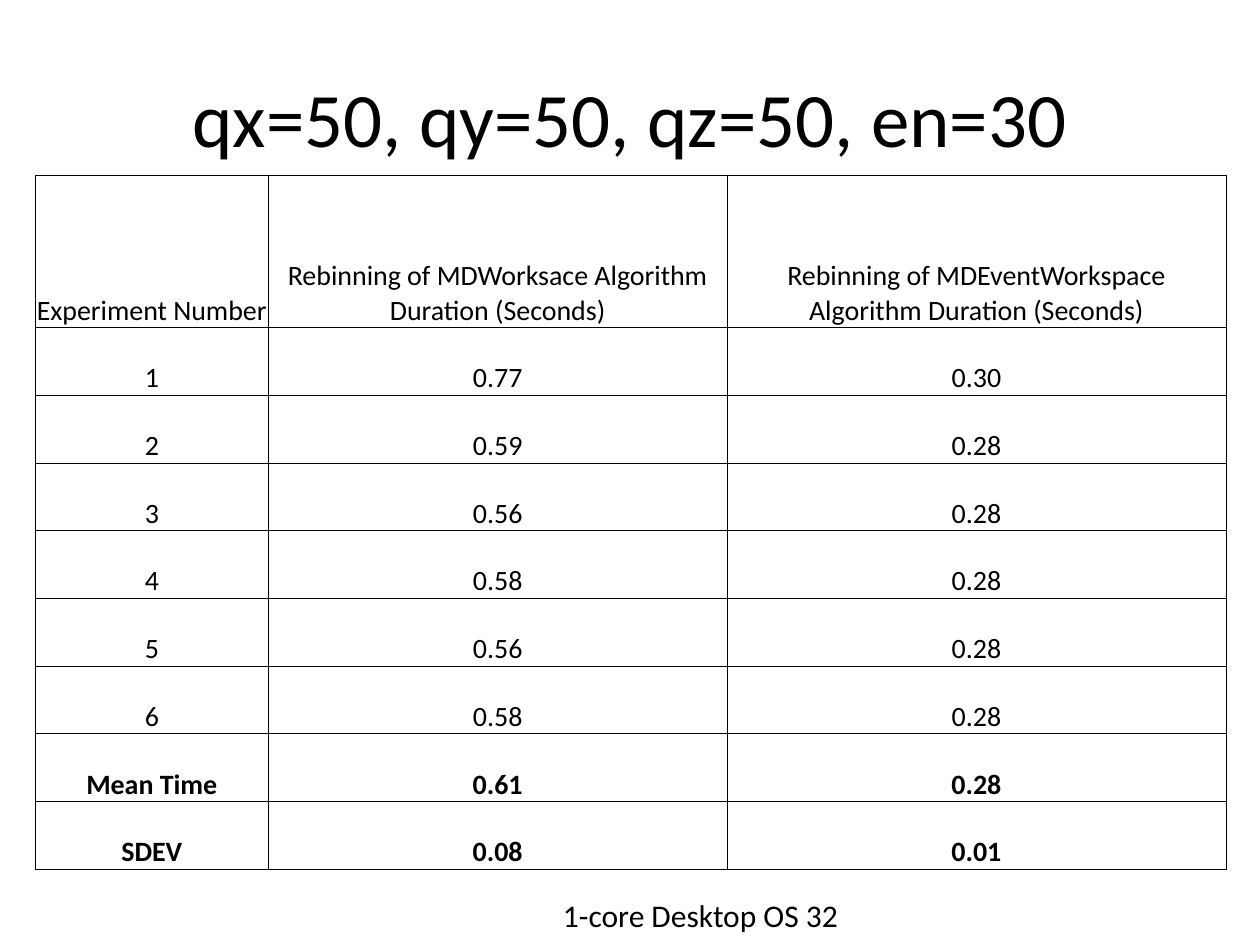
from lxml.etree import SubElement
from pptx import Presentation
from pptx.dml.color import RGBColor
from pptx.enum.text import MSO_ANCHOR, PP_ALIGN
from pptx.oxml.ns import qn
from pptx.util import Inches, Pt

BLACK = RGBColor(0x00, 0x00, 0x00)

HEADINGS = [
    "Experiment Number",
    "Rebinning of MDWorksace Algorithm Duration (Seconds)",
    "Rebinning of MDEventWorkspace Algorithm Duration (Seconds)",
]
TIMINGS = [
    ("1", "0.77", "0.30"),
    ("2", "0.59", "0.28"),
    ("3", "0.56", "0.28"),
    ("4", "0.58", "0.28"),
    ("5", "0.56", "0.28"),
    ("6", "0.58", "0.28"),
]
SUMMARY = [
    ("Mean Time", "0.61", "0.28"),
    ("SDEV", "0.08", "0.01"),
]


class SlideBuilder:
    font_name = "Calibri"
    ink = BLACK
    border_width = Pt(0.5)

    def __init__(self, slide):
        self.slide = slide

    def add_run(self, paragraph, words, size, bold=False):
        run = paragraph.add_run()
        run.text = words
        run.font.name = self.font_name
        run.font.size = Pt(size)
        run.font.bold = bold
        run.font.color.rgb = self.ink

    def add_text(self, words, left, top, width, height, size,
                 align=PP_ALIGN.LEFT, anchor=MSO_ANCHOR.TOP):
        frame = self.slide.shapes.add_textbox(
            Inches(left), Inches(top), Inches(width), Inches(height)).text_frame
        frame.word_wrap = True
        frame.vertical_anchor = anchor
        frame.paragraphs[0].alignment = align
        self.add_run(frame.paragraphs[0], words, size)

    def add_borders(self, cell):
        properties = cell._tc.get_or_add_tcPr()
        for side in ("a:lnL", "a:lnR", "a:lnT", "a:lnB"):
            line = SubElement(properties, qn(side), w=str(self.border_width))
            fill = SubElement(line, qn("a:solidFill"))
            SubElement(fill, qn("a:srgbClr"), val=str(self.ink))

    def fill_cell(self, cell, words, size, bold):
        cell.margin_left = cell.margin_right = cell.margin_top = Inches(0.01)
        cell.margin_bottom = 0
        cell.vertical_anchor = MSO_ANCHOR.BOTTOM
        self.add_borders(cell)
        cell.fill.background()
        paragraph = cell.text_frame.paragraphs[0]
        paragraph.alignment = PP_ALIGN.CENTER
        self.add_run(paragraph, words, size, bold)

    def add_table(self, rows, bold_from, left, top, column_widths,
                  heading_height, height, size):
        """Draw a grid whose rows from index bold_from on are bold."""
        table = self.slide.shapes.add_table(
            len(rows), len(column_widths), Inches(left), Inches(top),
            Inches(sum(column_widths)), Inches(height)).table
        table.first_row = table.horz_banding = False
        for column, width in zip(table.columns, column_widths):
            column.width = Inches(width)
        body_height = (height - heading_height) / (len(rows) - 1)
        for r, row in enumerate(rows):
            table.rows[r].height = Inches(body_height if r else heading_height)
            for c, words in enumerate(row):
                self.fill_cell(table.cell(r, c), words, size, r >= bold_from)


def main():
    deck = Presentation()
    deck.slide_width, deck.slide_height = Inches(10), Inches(7.5)
    builder = SlideBuilder(deck.slides.add_slide(deck.slide_layouts[6]))

    builder.add_table([HEADINGS] + TIMINGS + SUMMARY,
                      bold_from=1 + len(TIMINGS), left=0.28, top=1.39,
                      column_widths=[1.85, 3.64, 3.96],
                      heading_height=1.21, height=5.51, size=16)
    builder.add_text("qx=50, qy=50, qz=50, en=30", 0.5, 0.3, 9, 1.25, 44,
                     PP_ALIGN.CENTER, MSO_ANCHOR.MIDDLE)
    builder.add_text("1-core Desktop OS 32", 4.37, 7.06, 5.43, 0.4, 18)

    deck.save("out.pptx")


if __name__ == "__main__":
    main()
